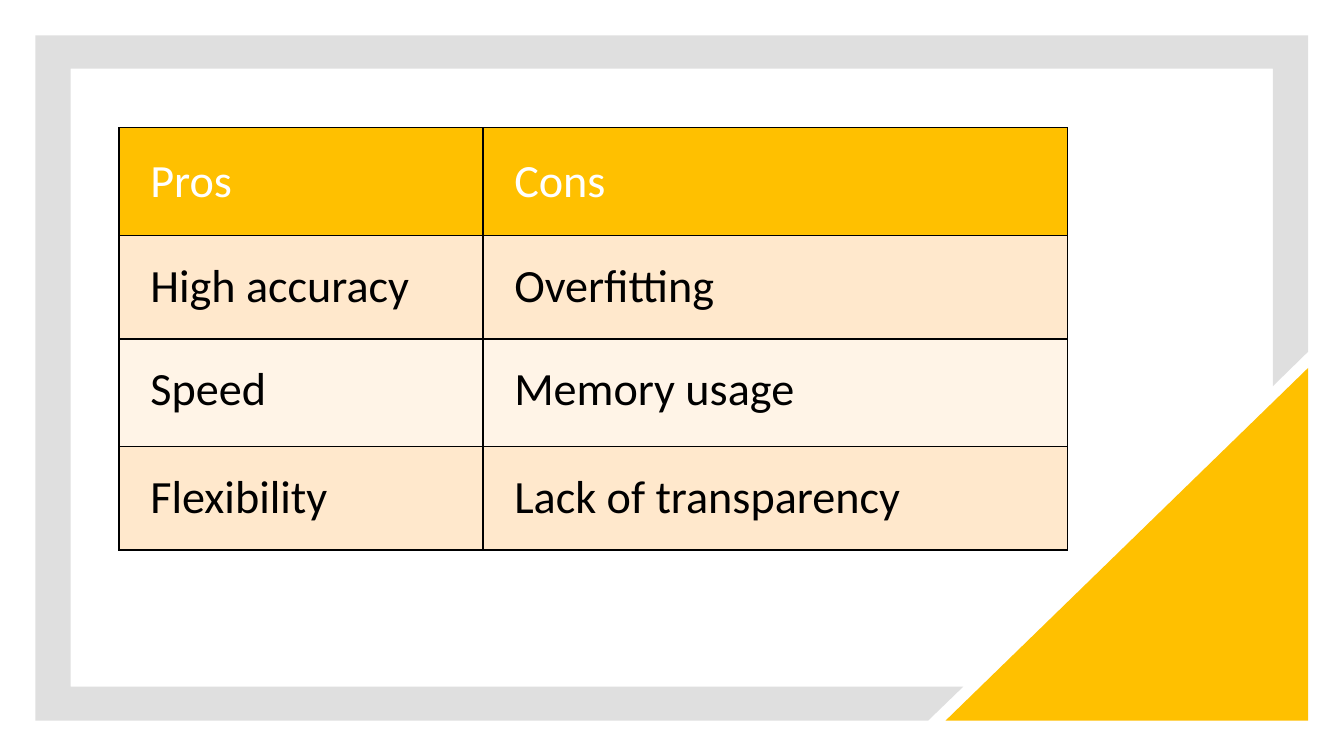
from lxml import etree
from pptx import Presentation
from pptx.dml.color import RGBColor
from pptx.enum.shapes import MSO_SHAPE
from pptx.enum.text import MSO_ANCHOR
from pptx.oxml.ns import qn
from pptx.util import Cm, Pt

RIGHT_TRIANGLE = MSO_SHAPE.RIGHT_TRIANGLE
TOP, MIDDLE = MSO_ANCHOR.TOP, MSO_ANCHOR.MIDDLE
GOLD, WHITE, BLACK, GREY = "FFC000", "FFFFFF", "000000", "808080"
BANDS = ["FFE8CC", "FFF4E7"]


def set_fill(item, color):
    item.fill.solid()
    item.fill.fore_color.rgb = RGBColor.from_string(color)


def add_borders(cell, color, width):
    tcPr = cell._tc.get_or_add_tcPr()
    for side in ("lnL", "lnR", "lnT", "lnB"):
        ln = etree.SubElement(tcPr, qn(f"a:{side}"), w=str(width))
        fill = etree.SubElement(ln, qn("a:solidFill"))
        etree.SubElement(fill, qn("a:srgbClr"), val=color)


prs = Presentation()
prs.slide_width, prs.slide_height = Cm(33.87), Cm(19.05)
s = prs.slides.add_slide(prs.slide_layouts[6])

# Translucent frame, cut off diagonally at the lower right
frame_points = [
    (0.89, 0.89), (32.97, 0.89), (32.97, 8.86), (32.08, 9.73), (32.08, 1.73),
    (1.78, 1.73), (1.78, 17.3), (24.28, 17.3), (23.39, 18.16), (0.89, 18.16),
]
points = [(Cm(x), Cm(y)) for x, y in frame_points]
builder = s.shapes.build_freeform(*points[0])
builder.add_line_segments(points[1:], close=True)
frame = builder.convert_to_shape()
frame.shadow.inherit = False
frame.line.fill.background()
set_fill(frame, GREY)
frame_color = frame._element.spPr.find(f".//{qn('a:srgbClr')}")
etree.SubElement(frame_color, qn("a:alpha"), val="25000")

# Corner triangle, right angle at the lower right
triangle = s.shapes.add_shape(RIGHT_TRIANGLE, Cm(23.83), Cm(9.27), Cm(9.14), Cm(8.89))
triangle._element.spPr.find(qn("a:xfrm")).set("flipH", "1")
triangle.shadow.inherit = False
triangle.line.fill.background()
set_fill(triangle, GOLD)

# Table of pros and cons
rows = [
    ("Pros", "Cons"),
    ("High accuracy", "Overfitting"),
    ("Speed", "Memory usage"),
    ("Flexibility", "Lack of transparency"),
]
col_widths = [9.17, 14.73]
row_heights = [2.72, 2.6, 2.72, 2.6]
table = s.shapes.add_table(
    len(rows), len(col_widths), Cm(3), Cm(3.22), Cm(sum(col_widths)), Cm(sum(row_heights))
).table
for column, width in zip(table.columns, col_widths):
    column.width = Cm(width)
for i, (row, height) in enumerate(zip(rows, row_heights)):
    table.rows[i].height = Cm(height)
    header = i == 0
    for j, text in enumerate(row):
        cell = table.cell(i, j)
        cell.margin_left, cell.margin_right = Cm(0.79), Cm(1.63)
        cell.margin_top = cell.margin_bottom = Cm(0.58)
        cell.vertical_anchor = MIDDLE if header else TOP
        add_borders(cell, BLACK, Pt(1))
        set_fill(cell, GOLD if header else BANDS[(i - 1) % 2])
        cell.text = text
        font = cell.text_frame.paragraphs[0].font
        font.name, font.size, font.bold = "Calibri", Pt(33), False
        font.color.rgb = RGBColor.from_string(WHITE if header else BLACK)

prs.save("out.pptx")
